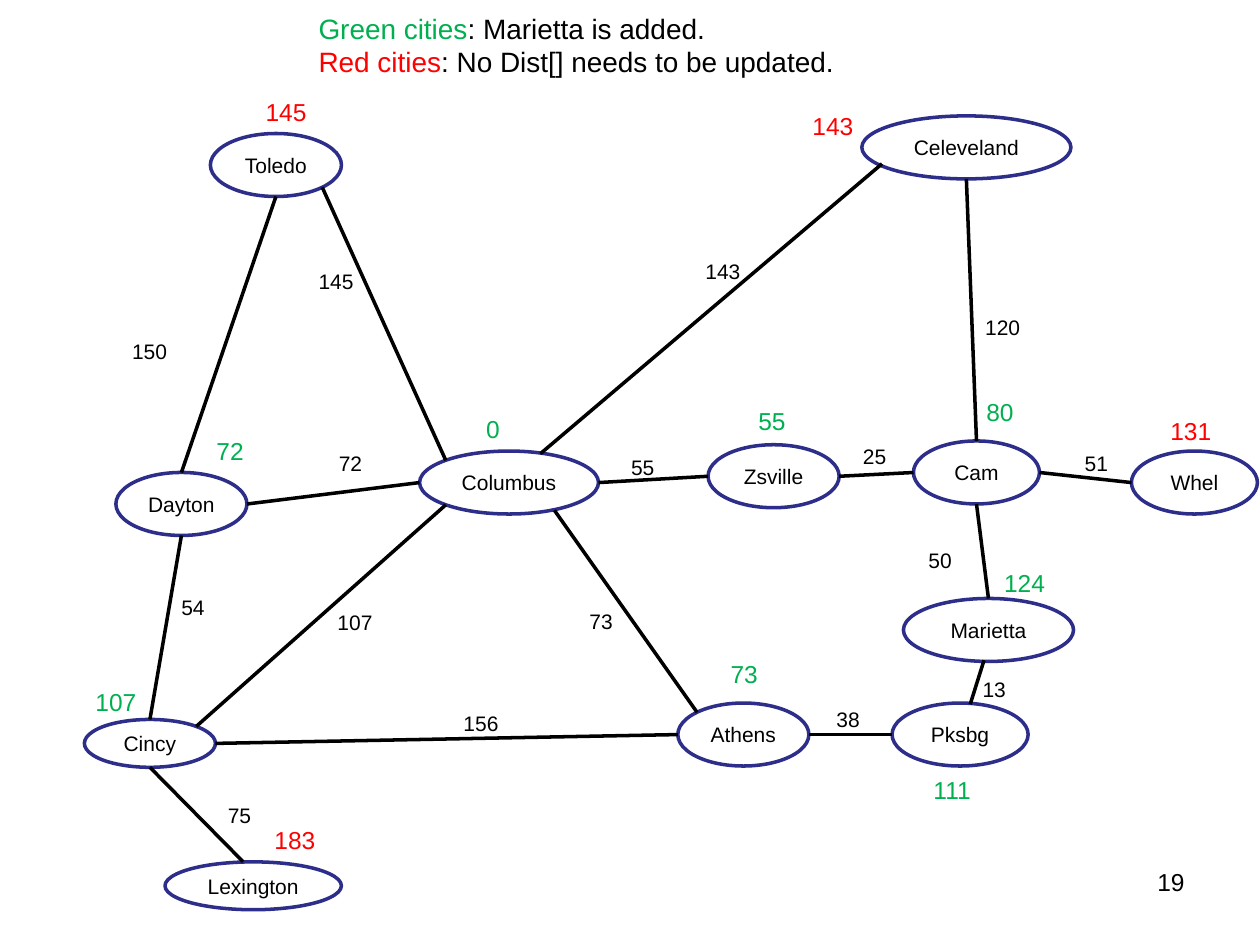
from math import cos, pi, sin

from lxml import etree
from pptx import Presentation
from pptx.dml.color import RGBColor
from pptx.enum.shapes import MSO_CONNECTOR, MSO_SHAPE
from pptx.enum.text import MSO_ANCHOR, MSO_AUTO_SIZE, PP_ALIGN
from pptx.oxml.ns import qn
from pptx.util import Inches, Pt

OVAL = MSO_SHAPE.OVAL
STRAIGHT = MSO_CONNECTOR.STRAIGHT
MIDDLE = MSO_ANCHOR.MIDDLE
GROW = MSO_AUTO_SIZE.SHAPE_TO_FIT_TEXT
LEFT, CENTER, RIGHT = PP_ALIGN.LEFT, PP_ALIGN.CENTER, PP_ALIGN.RIGHT
TOP_SITE, TOP_LEFT, LEFT_SITE, BOTTOM_LEFT = range(4)
BOTTOM_SITE, BOTTOM_RIGHT, RIGHT_SITE, TOP_RIGHT = range(4, 8)
COLORS = {
    "white": "FFFFFF",
    "black": "000000",
    "outline": "2D2D8A",
    "green": "00B050",
    "red": "FF0000",
}


def write_line(para, spans, size, align):
    para.alignment = align
    for text, color in spans:
        span = para.add_run()
        span.text = text
        formats = {"name": "Arial", "size": Pt(size)}
        for name, value in formats.items():
            setattr(span.font, name, value)
        span.font.color.rgb = RGBColor.from_string(COLORS[color])


def add_text(left, top, width, height, lines, size, align=LEFT):
    box = page.shapes.add_textbox(
        Inches(left), Inches(top), Inches(width), Inches(height)
    )
    frame = box.text_frame
    frame.word_wrap = True
    frame.auto_size = GROW
    for index, spans in enumerate(lines):
        para = frame.add_paragraph() if index else frame.paragraphs[0]
        write_line(para, spans, size, align)


deck = Presentation()
deck.slide_width = Inches(10)
deck.slide_height = Inches(7.5)
page = deck.slides.add_slide(deck.slide_layouts[6])

cities = {
    "Columbus": (3.33, 3.58, 1.42, 0.5),
    "Pksbg": (7.08, 5.58, 1.08, 0.5),
    "Athens": (5.38, 5.58, 1.04, 0.5),
    "Cam": (7.25, 3.5, 1, 0.5),
    "Whel": (8.98, 3.58, 1, 0.5),
    "Cincy": (0.67, 5.71, 1.04, 0.38),
    "Dayton": (0.92, 3.75, 1.04, 0.5),
    "Toledo": (1.67, 1.06, 1.04, 0.5),
    "Marietta": (7.17, 4.75, 1.35, 0.5),
    "Zsville": (5.62, 3.53, 1.04, 0.5),
    "Celeveland": (6.84, 0.92, 1.66, 0.5),
    "Lexington": (1.31, 6.84, 1.4, 0.38),
}
ovals = {}
for city, bounds in cities.items():
    oval = page.shapes.add_shape(OVAL, *[Inches(value) for value in bounds])
    oval.shadow.inherit = False
    oval.fill.solid()
    oval.fill.fore_color.rgb = RGBColor.from_string(COLORS["white"])
    oval.line.color.rgb = RGBColor.from_string(COLORS["outline"])
    oval.line.width = Pt(2)
    frame = oval.text_frame
    frame.word_wrap = False
    frame.vertical_anchor = MIDDLE
    write_line(frame.paragraphs[0], [(city, "black")], 12, CENTER)
    ovals[city] = oval

roads = [
    (("Columbus", RIGHT_SITE), ("Zsville", LEFT_SITE)),
    (("Zsville", RIGHT_SITE), ("Cam", LEFT_SITE)),
    (("Cam", RIGHT_SITE), ("Whel", LEFT_SITE)),
    (("Athens", RIGHT_SITE), ("Pksbg", LEFT_SITE)),
    ((4.4, 4.05), ("Athens", TOP_LEFT)),
    (("Dayton", RIGHT_SITE), ("Columbus", LEFT_SITE)),
    (("Cincy", TOP_RIGHT), ("Columbus", BOTTOM_LEFT)),
    (("Dayton", TOP_SITE), ("Toledo", BOTTOM_SITE)),
    (("Toledo", BOTTOM_RIGHT), ("Columbus", TOP_LEFT)),
    (("Cincy", TOP_SITE), ("Dayton", BOTTOM_SITE)),
    (("Cincy", RIGHT_SITE), ("Athens", LEFT_SITE)),
    ((4.29, 3.6), (7, 1.3)),
    (("Celeveland", BOTTOM_SITE), ("Cam", TOP_SITE)),
    (("Cam", BOTTOM_SITE), ("Marietta", TOP_SITE)),
    ((7.81, 5.24), (7.7, 5.59)),
    ((1.93, 6.84), ("Cincy", BOTTOM_SITE)),
]
for ends in roads:
    points = []
    joints = []
    for tag, (place, site) in zip(("a:stCxn", "a:endCxn"), ends):
        if place in cities:
            left, top, width, height = cities[place]
            angle = site * pi / 4
            points.append(Inches(left + width / 2 * (1 - sin(angle))))
            points.append(Inches(top + height / 2 * (1 - cos(angle))))
            joints.append((tag, ovals[place].shape_id, site))
        else:
            points += [Inches(place), Inches(site)]
    road = page.shapes.add_connector(STRAIGHT, *points)
    road.line.color.rgb = RGBColor.from_string(COLORS["black"])
    road.line.width = Pt(2)
    etree.SubElement(road._element.spPr, qn("a:effectLst"))
    for tag, shape_id, site in joints:
        joint = etree.SubElement(road._element.nvCxnSpPr.cNvCxnSpPr, qn(tag))
        joint.set("id", str(shape_id))
        joint.set("idx", str(site))

road_lengths = [
    ("55", 4.91, 3.56), ("25", 6.75, 3.47), ("51", 8.51, 3.53),
    ("13", 7.7, 5.32), ("38", 6.54, 5.56), ("156", 3.58, 5.59),
    ("107", 2.58, 4.79), ("73", 4.58, 4.78), ("54", 1.34, 4.67),
    ("72", 2.59, 3.53), ("150", 0.95, 2.64), ("145", 2.43, 2.08),
    ("50", 7.27, 4.3), ("120", 7.72, 2.45), ("143", 5.5, 2),
    ("75", 1.71, 6.32),
]
for length, left, top in road_lengths:
    add_text(left, top, 0.49, 0.3, [[(length, "black")]], 12)

city_distances = [
    ("55", "green", 5.92, 3.17, 0.63),
    ("80", "green", 7.73, 3.1, 0.94),
    ("124", "green", 7.87, 4.46, 1.12),
    ("143", "red", 6.35, 0.83, 0.64),
    ("145", "red", 2.01, 0.72, 0.63),
    ("72", "green", 1.62, 3.41, 0.63),
    ("107", "green", 0.66, 5.4, 0.63),
    ("183", "red", 2.08, 6.5, 1.25),
    ("73", "green", 5.7, 5.18, 0.63),
    ("111", "green", 7.31, 6.1, 1.19),
    ("131", "red", 9.19, 3.25, 1.14),
    ("0", "green", 3.76, 3.24, 0.63),
]
for distance, color, left, top, width in city_distances:
    add_text(left, top, width, 0.34, [[(distance, color)]], 14)

legend = [
    [("Green cities", "green"), (": Marietta is added.", "black")],
    [("Red cities", "red"), (": No Dist[] needs to be updated.", "black")],
]
add_text(2.43, 0.04, 6.82, 0.64, legend, 16)
add_text(8.58, 6.83, 0.92, 0.52, [[("19", "black")]], 14, RIGHT)

deck.save("out.pptx")
